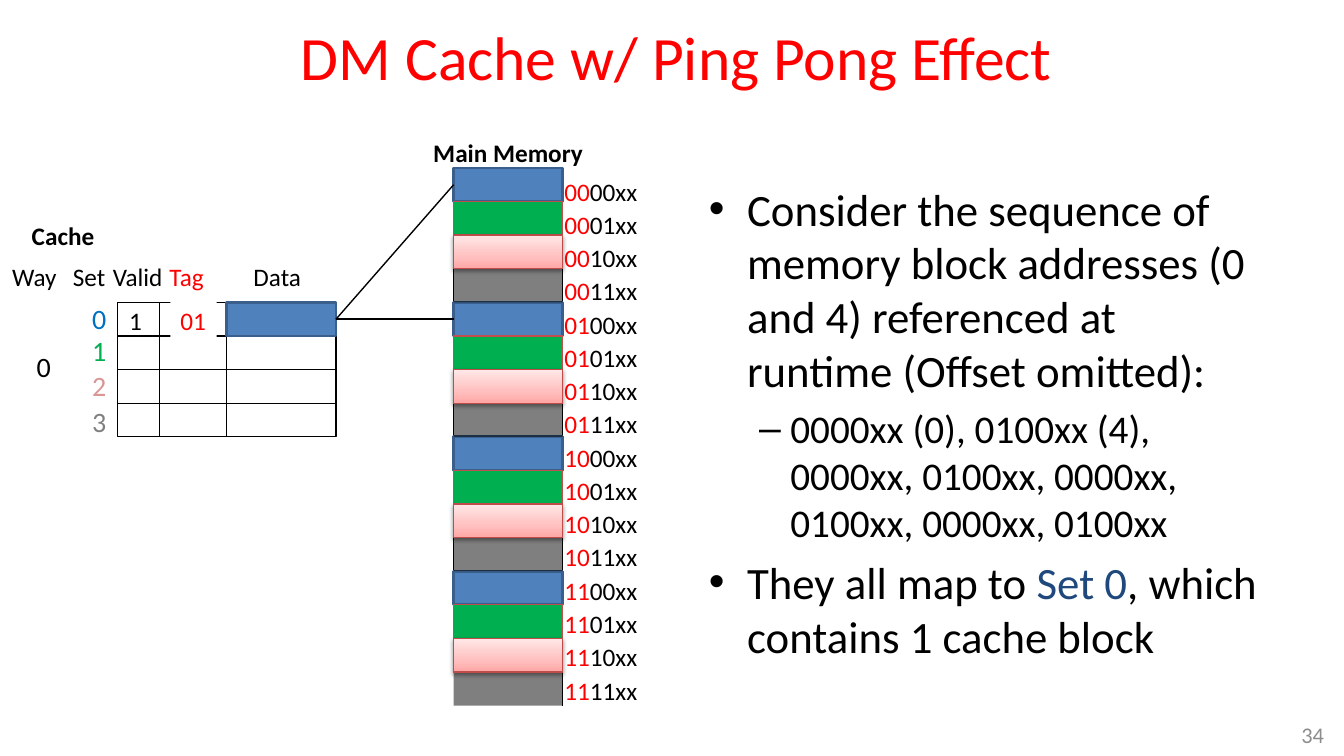
"""Build the slide on the ping pong effect in a direct-mapped cache."""
from lxml import etree
from pptx import Presentation
from pptx.dml.color import RGBColor
from pptx.enum.shapes import MSO_CONNECTOR, MSO_SHAPE
from pptx.enum.text import MSO_ANCHOR, MSO_AUTO_SIZE, PP_ALIGN
from pptx.oxml import parse_xml
from pptx.oxml.ns import nsdecls, qn
from pptx.util import Inches, Pt

RECT, STRAIGHT = MSO_SHAPE.RECTANGLE, MSO_CONNECTOR.STRAIGHT
MIDDLE, TOP = MSO_ANCHOR.MIDDLE, MSO_ANCHOR.TOP
FIT, NO_FIT = MSO_AUTO_SIZE.SHAPE_TO_FIT_TEXT, MSO_AUTO_SIZE.NONE
LEFT, CENTER, RIGHT = PP_ALIGN.LEFT, PP_ALIGN.CENTER, PP_ALIGN.RIGHT

THEME = {
    "font": "Calibri", "title": 44, "body": 32, "sub": 28, "set": 20, "label": 18, "number": 16,
    "black": "000000", "white": "FFFFFF", "red": "FF0000", "navy": "1F497D", "pale": "8C8C8C",
    "blue": "4F81BD", "blue edge": "3A5F8C", "green": "00B050", "green edge": "C0504D",
    "pink edge": "BF4C48", "pink stops": ((0, "FFA6A5"), (35, "FFC0BF"), (100, "FFE7E7")),
    "sets": ("0070C0", "00B050", "D99694", "808080"),
}
BLACK, RED = THEME["black"], THEME["red"]

prs = Presentation()
prs.slide_width, prs.slide_height = Inches(13.333), Inches(7.5)
slide = prs.slides.add_slide(prs.slide_layouts[6])
U = prs.slide_height / 90
ROW, SETS, BLOCKS = 4, 4, 16
MEM_X, MEM_Y, BLOCK_W = 54, 20, 13
CACHE_Y = 36
VALID_X, TAG_X, DATA_X = 14, 19, 27


def write(s, paragraphs, size, bold=False, wrap=False, anchor=TOP, fit=FIT, align=LEFT):
    """Fill a shape with paragraphs, each a list of (text, colour) runs."""
    tf = s.text_frame
    tf.word_wrap, tf.auto_size, tf.vertical_anchor = wrap, fit, anchor
    for i, runs in enumerate(paragraphs):
        p = tf.add_paragraph() if i else tf.paragraphs[0]
        p.alignment = align
        for text, color in runs:
            r = p.add_run()
            r.text = text
            r.font.name, r.font.size, r.font.bold = THEME["font"], Pt(size), bold
            r.font.color.rgb = RGBColor.from_string(color)
    return tf


def draw(kind, x, y, w, h, fill=None, line=None, weight=1):
    """Add a box, text box or line, measured in grid units."""
    a, b, c, d = (round(v * U) for v in (x, y, w, h))
    if kind == "text":
        return slide.shapes.add_textbox(a, b, c, d)
    if kind == "line":
        s = slide.shapes.add_connector(STRAIGHT, a, b, a + c, b + d)
        etree.SubElement(s._element.spPr, qn("a:effectLst"))
    else:
        s = slide.shapes.add_shape(RECT, a, b, c, d)
        s.shadow.inherit = False
        if fill:
            s.fill.solid()
            s.fill.fore_color.rgb = RGBColor.from_string(fill)
        else:
            s.fill.background()
    if line:
        s.line.color.rgb = RGBColor.from_string(line)
        s.line.width = Pt(weight)
    else:
        s.line.fill.background()
    return s


tf = write(draw("text", 18.4, 1.1, 124.3, 12.4), [[("DM Cache w/ Ping Pong Effect", RED)]],
           THEME["title"], wrap=True, anchor=MIDDLE, fit=NO_FIT, align=CENTER)
tf.paragraphs[0].line_spacing = 0.85

body = [
    [("Consider the sequence of memory block addresses (0 and 4) referenced at runtime "
      "(Offset omitted):", BLACK)],
    [("0000xx (0), 0100xx (4), 0000xx, 0100xx, 0000xx, 0100xx, 0000xx, 0100xx", BLACK)],
    [("They all map to ", BLACK), ("Set 0", THEME["navy"]),
     (", which contains 1 cache block", BLACK)],
]
tf = write(draw("text", 83.2, 21, 68.9, 59.4), body, THEME["body"], wrap=True, fit=NO_FIT)
levels = ((0, 0.38, 0.38, "•", "body"), (1, 0.81, 0.31, "–", "sub"), (0, 0.38, 0.38, "•", "body"))
for i, (p, (level, margin, hang, mark, size)) in enumerate(zip(tf.paragraphs, levels)):
    p.level = level
    if i:
        p.space_before = Pt(THEME[size] * 0.2)
    pPr = p._p.get_or_add_pPr()
    pPr.set("marL", str(Inches(margin)))
    pPr.set("indent", str(-Inches(hang)))
    etree.SubElement(pPr, qn("a:buFont")).set("typeface", "Arial")
    etree.SubElement(pPr, qn("a:buChar")).set("char", mark)
    for r in p.runs:
        r.font.size = Pt(THEME[size])

for x, w in ((VALID_X, 5), (TAG_X, 8), (DATA_X, BLOCK_W)):
    draw("box", x, CACHE_Y, w, SETS * ROW, line=BLACK)
    for i in range(1, SETS):
        draw("line", x, CACHE_Y + i * ROW, w, 0, line=BLACK)

for i in range(BLOCKS):
    draw("line", MEM_X, MEM_Y + i * ROW, BLOCK_W, 0, line=BLACK)
draw("line", MEM_X, MEM_Y, 0, 12 * ROW, line=BLACK)
draw("line", MEM_X + BLOCK_W, MEM_Y, 0, BLOCKS * ROW, line=BLACK)

styles = (
    (0, THEME["blue"], THEME["blue edge"], 2),
    (3, BLACK, None, 0),
    (1, THEME["green"], THEME["green edge"], 1),
    (2, THEME["white"], THEME["pink edge"], 0.75),
)
stops = "".join(f'<a:gs pos="{at * 1000}"><a:srgbClr val="{color}"/></a:gs>'
                for at, color in THEME["pink stops"])
gradient = (f'<a:gradFill {nsdecls("a")} rotWithShape="1"><a:gsLst>{stops}</a:gsLst>'
            '<a:lin ang="16200000" scaled="0"/></a:gradFill>')
shadow = (f'<a:outerShdw {nsdecls("a")} blurRad="{Pt(3.1)}" dist="{Pt(1.6)}" dir="5400000" '
          'rotWithShape="0"><a:srgbClr val="000000"><a:alpha val="38000"/></a:srgbClr>'
          '</a:outerShdw>')
blocks = {}
for set_no, fill, edge, weight in styles:
    for n in range(set_no, BLOCKS, SETS):
        s = draw("box", MEM_X, MEM_Y + n * ROW, BLOCK_W, ROW, fill, edge, weight)
        blocks[n] = s
        spPr = s._element.spPr
        solid = spPr.find(qn("a:solidFill"))
        if set_no == 3:
            etree.SubElement(solid[0], qn("a:alpha")).set("val", "50000")
        elif set_no == 2:
            spPr.replace(solid, parse_xml(gradient))
            spPr.find(qn("a:effectLst")).append(parse_xml(shadow))

addresses = [[(f"{n // SETS:02b}", RED), (f"{n % SETS:02b}xx", BLACK)] for n in range(BLOCKS)]
tf = write(draw("text", 66, MEM_Y, 13, 65.2), addresses, THEME["label"], wrap=True)
for p in tf.paragraphs:
    p.line_spacing = 1.1

for text, x, y, w, color, bold in (
    ("Cache", 2.6, 25.6, 10, BLACK, True),
    ("Main Memory", 50.4, 15.8, 20.4, BLACK, True),
    ("Way", 0.25, 30.5, 7.8, BLACK, False),
    ("Set", 7.5, 30.5, 6.4, BLACK, False),
    ("Valid", 12.25, 30.5, 8.4, BLACK, False),
    ("Tag", TAG_X, 30.5, 6.5, RED, False),
    ("Data", 29, 30.5, 8.2, BLACK, False),
):
    write(draw("text", x, y, w, 4.8), [[(text, color)]], THEME["label"], bold)

digits = [("0", 3.2, 41, BLACK)]
digits += [(str(i), 9.8, y, color)
           for i, (y, color) in enumerate(zip((35.3, 39.1, 43.3, 47.6), THEME["sets"]))]
for text, x, y, color in digits:
    write(draw("text", x, y, 4.1, 5.3), [[(text, color)]], THEME["set"])

write(draw("text", 14.2, 35.8, 4, 4.8), [[("1", BLACK)]], THEME["label"], wrap=True, anchor=MIDDLE)
write(draw("box", 20.3, 35.8, 5.5, 4.8, THEME["white"]), [[("01", RED)]], THEME["label"],
      wrap=True, anchor=MIDDLE)
cached = draw("box", DATA_X, CACHE_Y, BLOCK_W, ROW, THEME["blue"], THEME["blue edge"], 2)
for n in (0, 4):
    s = draw("line", DATA_X + BLOCK_W, CACHE_Y + ROW / 2, 14, 0, line=BLACK)
    s.begin_connect(cached, 3)
    s.end_connect(blocks[n], 1)

write(draw("text", 150.8, 85, 8, 5), [[("34", THEME["pale"])]], THEME["number"],
      wrap=True, anchor=MIDDLE, fit=NO_FIT, align=RIGHT)

prs.save("out.pptx")
